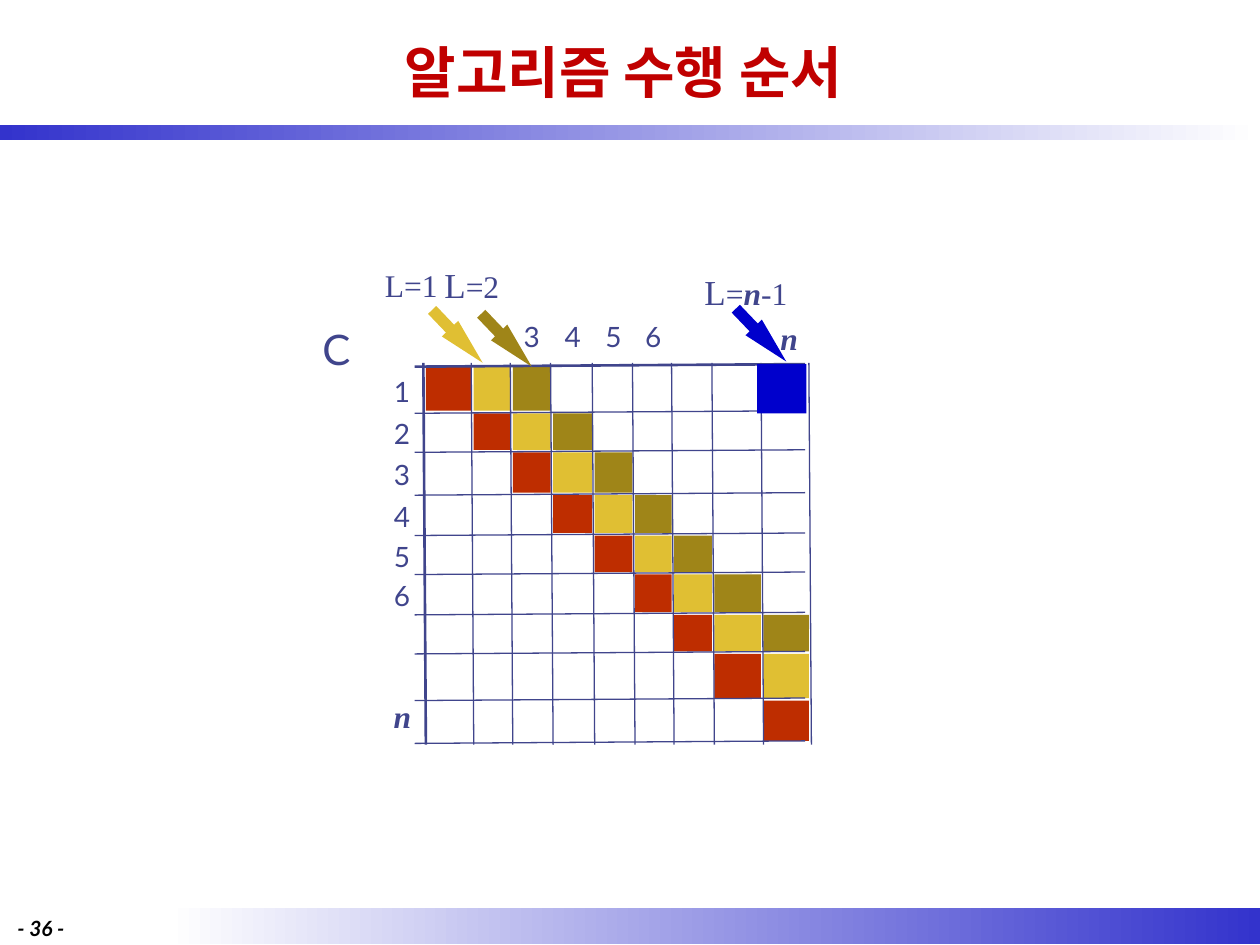
from lxml.etree import SubElement
from pptx import Presentation
from pptx.dml.color import RGBColor
from pptx.enum.shapes import MSO_CONNECTOR, MSO_SHAPE
from pptx.enum.text import MSO_ANCHOR, PP_ALIGN
from pptx.oxml.ns import qn
from pptx.util import Inches, Pt

COLORS = {
    "title": "C00000", "ink": "40458C", "black": "000000",
    "band": "3333CC", "white": "FFFFFF",
    "red": "BE2D00", "yellow": "E0BF33", "olive": "9F8518", "blue": "0000CC",
}
SANS, SERIF, KOREAN = "Lato", "Times New Roman", "Noto Sans CJK KR"

# The slide is a grid of 100 columns by 75 rows; these are the matrix edges on it
COLS, ROWS = 100, 75
X = [33.7, 37.5, 40.6, 43.8, 47.1, 50.3, 53.4, 56.6, 60.5, 64.3]
Y = [29, 32.7, 35.8, 39.2, 42.4, 45.5, 48.7, 51.8, 55.5, 58.9]
N = len(X) - 1


def middle(edges, i):
    return (edges[i] + edges[i + 1]) / 2


class Deck:
    def __init__(self):
        self.prs = Presentation()
        self.prs.slide_width, self.prs.slide_height = Inches(10), Inches(7.5)
        self.s = self.prs.slides.add_slide(self.prs.slide_layouts[6])

    def place(self, *lengths):
        """Turn alternating column and row counts into slide lengths."""
        units = (self.prs.slide_width / COLS, self.prs.slide_height / ROWS)
        return [round(v * units[i % 2]) for i, v in enumerate(lengths)]

    def color(self, name):
        return RGBColor.from_string(COLORS[name])

    def shape(self, kind, box, fill=None):
        sp = self.s.shapes.add_shape(kind, *self.place(*box))
        sp.shadow.inherit = False
        sp.line.fill.background()
        if fill:
            sp.fill.solid()
            sp.fill.fore_color.rgb = self.color(fill)
        return sp

    def band(self, box, start, end):
        sp = self.shape(MSO_SHAPE.RECTANGLE, box)
        sp.fill.gradient()
        sp.fill.gradient_angle = 0
        for stop, name in zip(sp.fill.gradient_stops, (start, end)):
            stop.color.rgb = self.color(name)

    def cell(self, row, col, fill):
        x, y = X[col], Y[row]
        box = (x + 0.1, y + 0.1, X[col + 1] - x - 0.2, Y[row + 1] - y - 0.2)
        self.shape(MSO_SHAPE.RECTANGLE, box, fill)

    def arrow(self, x, y, fill):
        sp = self.shape(MSO_SHAPE.RIGHT_ARROW, (x, y, 5.8, 1.8), fill)
        sp.rotation = 46.3
        sp.adjustments[0], sp.adjustments[1] = 0.5, 2.08

    def line(self, x1, y1, x2, y2, width=0.75):
        ends = self.place(x1, y1, x2, y2)
        c = self.s.shapes.add_connector(MSO_CONNECTOR.STRAIGHT, *ends)
        c.line.color.rgb = self.color("ink")
        c.line.width = Pt(width)
        SubElement(c._element.spPr, qn("a:effectLst"))

    def text(self, box, runs, size=None, font=SANS, color="ink", bold=False,
             italic=False, align=PP_ALIGN.CENTER, anchor=MSO_ANCHOR.TOP, wrap=False):
        """Runs are one string, or (text, size, emphasis) tuples."""
        tf = self.s.shapes.add_textbox(*self.place(*box)).text_frame
        tf.word_wrap, tf.vertical_anchor = wrap, anchor
        p = tf.paragraphs[0]
        p.alignment = align
        p.font.name, p.font.color.rgb = font, self.color(color)
        SubElement(p.font._element, qn("a:ea"), typeface=font)
        if isinstance(runs, str):
            p.font.size, p.font.bold, p.font.italic = Pt(size), bold, italic
            p.add_run().text = runs
            return
        for content, points, emphasis in runs:
            r = p.add_run()
            r.text = content
            r.font.size = Pt(points)
            r.font.bold = r.font.italic = emphasis

    def label(self, x, y, content, size=16, **style):
        """Small text centred on a point."""
        self.text((x - 1.65, y - 1.85, 3.3, 3.7), content, size, **style)


def main():
    deck = Deck()

    # Bands, title and page number
    deck.band((13.3, 72.1, 86.7, 2.8), "white", "band")
    deck.band((0, 9.9, 100, 1.2), "band", "white")
    deck.text((7.5, 0.5, 85, 10.3), "알고리즘 수행 순서 ", 32, KOREAN, "title",
              bold=True, anchor=MSO_ANCHOR.MIDDLE, wrap=True)
    deck.text((0.4, 72.2, 7.1, 2.4), "- 36 -", 12, color="black",
              bold=True, italic=True, align=PP_ALIGN.LEFT)

    # Diagonals of the matrix
    for offset, fill in enumerate(("red", "yellow", "olive")):
        for row in range(N - offset):
            deck.cell(row, row + offset, fill)

    # Grid lines, slightly tilted; the first of each direction is heavier
    for i, (x, y) in enumerate(zip(X, Y)):
        width = 0.75 if i else 1.5
        deck.line(x - 0.1, 28.8, x + 0.1, 59.1, width)
        deck.line(32.9, y + 0.1, 63.9, y - 0.1, width)
    deck.shape(MSO_SHAPE.RECTANGLE, (60.1, 28.9, 3.9, 3.9), "blue")

    # Matrix name, row and column labels
    deck.text((24.6, 25.2, 4, 5), "C", 24)
    for i in range(6):
        deck.label(31.9, middle(Y, i) + 0.2, str(i + 1))
        if i > 1:
            deck.label(middle(X, i), 26.75, str(i + 1))
    for x, y in ((31.9, 56.65), (62.6, 26.65)):
        deck.label(x, y, "n", 18, font=SERIF, bold=True, italic=True)

    # Diagonal names and their arrows
    names = (
        ((29, 20.6, 7.3, 4), [("L=1", 18, False)]),
        ((33.8, 20.4, 7.3, 4.4), [("L", 20, False), ("=2", 18, False)]),
        ((54.1, 21, 10.2, 4.4), [("L", 20, False), ("=", 18, False),
                                 ("n", 18, True), ("-1", 18, False)]),
    )
    for box, runs in names:
        deck.text(box, runs, font=SERIF, wrap=True)
    for x, y, fill in ((33.4, 25.8, "yellow"), (37.3, 26.1, "olive"),
                       (57.5, 25.7, "blue")):
        deck.arrow(x, y, fill)

    deck.prs.save("out.pptx")


if __name__ == "__main__":
    main()
